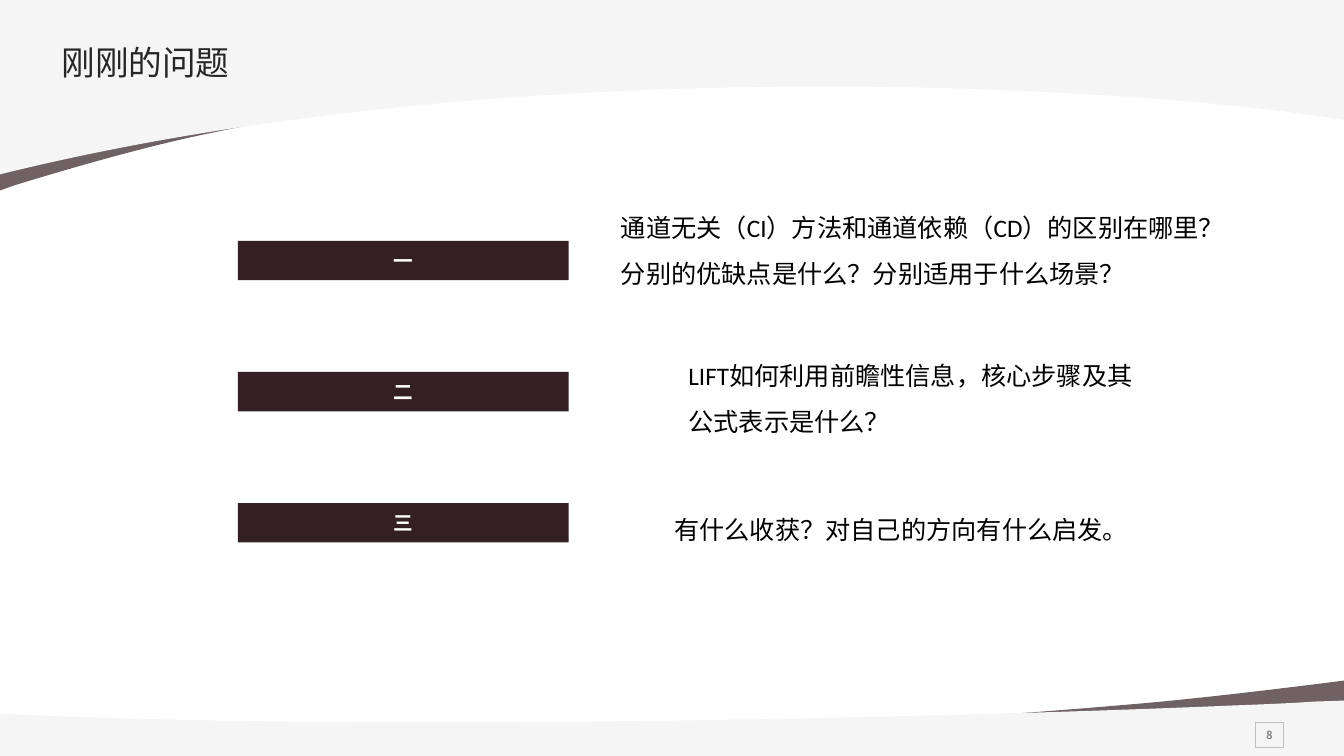
"""Build the closing questions slide with curved bands and three numbered bars."""
from dataclasses import dataclass
from typing import Optional

import pptx
import pptx.dml.color
import pptx.enum.lang
import pptx.enum.shapes
import pptx.enum.text
import pptx.oxml
import pptx.oxml.ns
import pptx.util

EMU_PER_PX = 9144
SLIDE_WIDTH, SLIDE_HEIGHT = 1333, 750
Point = tuple[int, int]


@dataclass(frozen=True)
class Theme:
    plum: str = "341F24"
    pale: str = "F5F5F5"
    white: str = "FFFFFF"
    black: str = "000000"
    title: str = "262626"
    number: str = "808080"
    border: str = "BFBFBF"
    chinese_font: str = "Noto Sans CJK SC"
    latin_font: str = "Calibri"
    title_size: int = 24
    body_size: int = 18
    bar_size: int = 14
    number_size: int = 8


THEME = Theme()


@dataclass(frozen=True)
class Box:
    left: int
    top: int
    width: int
    height: int


@dataclass(frozen=True)
class TextStyle:
    size: int
    color: str
    font: str = THEME.chinese_font
    bold: bool = False
    centered: bool = False
    spacing: Optional[float] = None
    insets: tuple[int, int, int, int] = (8, 8, 8, 8)
    wrap: bool = True


@dataclass(frozen=True)
class Band:
    color: str
    start: Point
    segments: tuple[tuple[Point, ...], ...]
    opacity: Optional[int] = None


@dataclass(frozen=True)
class Question:
    numeral: str
    text: str
    box: Box


TITLE_STYLE = TextStyle(THEME.title_size, THEME.title, spacing=0.9, insets=(8, 8, 0, 8), wrap=False)
BAR_STYLE = TextStyle(THEME.bar_size, THEME.white, bold=True, centered=True, insets=(10, 8, 10, 8))
BODY_STYLE = TextStyle(THEME.body_size, THEME.black, THEME.latin_font, spacing=1.5, insets=(10, 5, 10, 5))
NUMBER_STYLE = TextStyle(THEME.number_size, THEME.number, bold=True, centered=True, wrap=False)

BANDS = (
    Band(THEME.plum, (0, 189), (
        ((0, 22),), ((1334, 22),), ((1334, 91),), ((1333, 91),),
        ((1032, 6), (514, 67), (214, 131)),
        ((154, 143), (86, 162), (14, 184)),
    ), 70),
    Band(THEME.pale, (0, 0), (
        ((1333, 0),), ((1333, 119),),
        ((1140, 87), (517, 45), (0, 173)),
    )),
    Band(THEME.plum, (1334, 675), (
        ((1334, 744),), ((0, 744),), ((0, 715),), ((1, 716),),
        ((301, 750), (820, 725), (1119, 699)),
        ((1179, 694), (1247, 686), (1319, 677)),
    ), 70),
    Band(THEME.pale, (1334, 695), (
        ((1334, 750),), ((0, 750),), ((0, 708),), ((44, 710),),
        ((392, 724), (910, 713), (1220, 700)),
        ((1246, 699), (1275, 698), (1304, 696)),
    )),
)

QUESTIONS = (
    Question("一", "通道无关（CI）方法和通道依赖（CD）的区别在哪里？分别的优缺点是什么？分别适用于什么场景？",
             Box(606, 191, 625, 137)),
    Question("二", "LIFT如何利用前瞻性信息，核心步骤及其公式表示是什么？", Box(673, 338, 474, 101)),
    Question("三", "有什么收获？对自己的方向有什么启发。", Box(659, 490, 474, 55)),
)
FIRST_BAR = Box(236, 239, 328, 39)
BAR_PITCH = 130


def px(value: int) -> pptx.util.Emu:
    return pptx.util.Emu(value * EMU_PER_PX)


def rgb(color: str) -> pptx.dml.color.RGBColor:
    return pptx.dml.color.RGBColor.from_string(color)


def frame(box: Box) -> tuple[pptx.util.Emu, ...]:
    return px(box.left), px(box.top), px(box.width), px(box.height)


def bend_segments(shape, band: Band) -> None:
    lines = shape._element.spPr.findall(".//" + pptx.oxml.ns.qn("a:lnTo"))
    for line, segment in zip(lines, band.segments):
        if len(segment) == 3:
            points = "".join(f'<a:pt x="{px(x) - shape.left}" y="{px(y) - shape.top}"/>' for x, y in segment)
            curve = pptx.oxml.parse_xml(
                f'<a:cubicBezTo {pptx.oxml.ns.nsdecls("a")}>{points}</a:cubicBezTo>')
            line.getparent().replace(line, curve)


def add_band(slide, band: Band) -> None:
    builder = slide.shapes.build_freeform(px(band.start[0]), px(band.start[1]), scale=1.0)
    ends = [segment[-1] for segment in band.segments]
    builder.add_line_segments([(px(x), px(y)) for x, y in ends], close=True)
    shape = builder.convert_to_shape()
    bend_segments(shape, band)
    shape.shadow.inherit = False
    shape.fill.solid()
    shape.fill.fore_color.rgb = rgb(band.color)
    shape.line.fill.background()
    if band.opacity is not None:
        color = shape._element.spPr.find(".//" + pptx.oxml.ns.qn("a:srgbClr"))
        alpha = pptx.oxml.parse_xml(f'<a:alpha {pptx.oxml.ns.nsdecls("a")} val="{band.opacity * 1000}"/>')
        color.append(alpha)


def write_text(shape, text: str, style: TextStyle) -> None:
    text_frame = shape.text_frame
    text_frame.text = text
    text_frame.word_wrap = style.wrap
    text_frame.margin_left, text_frame.margin_top, text_frame.margin_right, text_frame.margin_bottom = map(
        px, style.insets)
    anchors, alignments = pptx.enum.text.MSO_ANCHOR, pptx.enum.text.PP_ALIGN
    text_frame.vertical_anchor = anchors.MIDDLE if style.centered else anchors.TOP
    paragraph = text_frame.paragraphs[0]
    paragraph.alignment = alignments.CENTER if style.centered else alignments.LEFT
    paragraph.line_spacing = style.spacing
    font = paragraph.runs[0].font
    font.size = pptx.util.Pt(style.size)
    font.bold = style.bold
    font.color.rgb = rgb(style.color)
    font.name = style.font
    font.language_id = pptx.enum.lang.MSO_LANGUAGE_ID.SIMPLIFIED_CHINESE
    east_asian = pptx.oxml.parse_xml(
        f'<a:ea {pptx.oxml.ns.nsdecls("a")} typeface="{THEME.chinese_font}"/>')
    font._element.find(pptx.oxml.ns.qn("a:latin")).addnext(east_asian)


def add_text(slide, box: Box, text: str, style: TextStyle) -> None:
    write_text(slide.shapes.add_textbox(*frame(box)), text, style)


def add_rectangle(slide, box: Box, text: str, style: TextStyle,
                  fill: Optional[str] = None, border: Optional[str] = None) -> None:
    shape = slide.shapes.add_shape(pptx.enum.shapes.MSO_SHAPE.RECTANGLE, *frame(box))
    shape.shadow.inherit = False
    if fill:
        shape.fill.solid()
        shape.fill.fore_color.rgb = rgb(fill)
    else:
        shape.fill.background()
    if border:
        shape.line.color.rgb = rgb(border)
        shape.line.width = pptx.util.Pt(0.75)
    else:
        shape.line.fill.background()
    write_text(shape, text, style)


def main() -> None:
    presentation = pptx.Presentation()
    presentation.slide_width, presentation.slide_height = px(SLIDE_WIDTH), px(SLIDE_HEIGHT)
    slide = presentation.slides.add_slide(presentation.slide_layouts[6])
    for band in BANDS:
        add_band(slide, band)
    add_rectangle(slide, Box(1245, 717, 28, 25), "8", NUMBER_STYLE, border=THEME.border)
    add_text(slide, Box(53, 38, 1200, 58), "刚刚的问题", TITLE_STYLE)
    for index, question in enumerate(QUESTIONS):
        bar = Box(FIRST_BAR.left, FIRST_BAR.top + index * BAR_PITCH, FIRST_BAR.width, FIRST_BAR.height)
        add_rectangle(slide, bar, question.numeral, BAR_STYLE, fill=THEME.plum)
        add_text(slide, question.box, question.text, BODY_STYLE)
    presentation.save("out.pptx")


if __name__ == "__main__":
    main()
